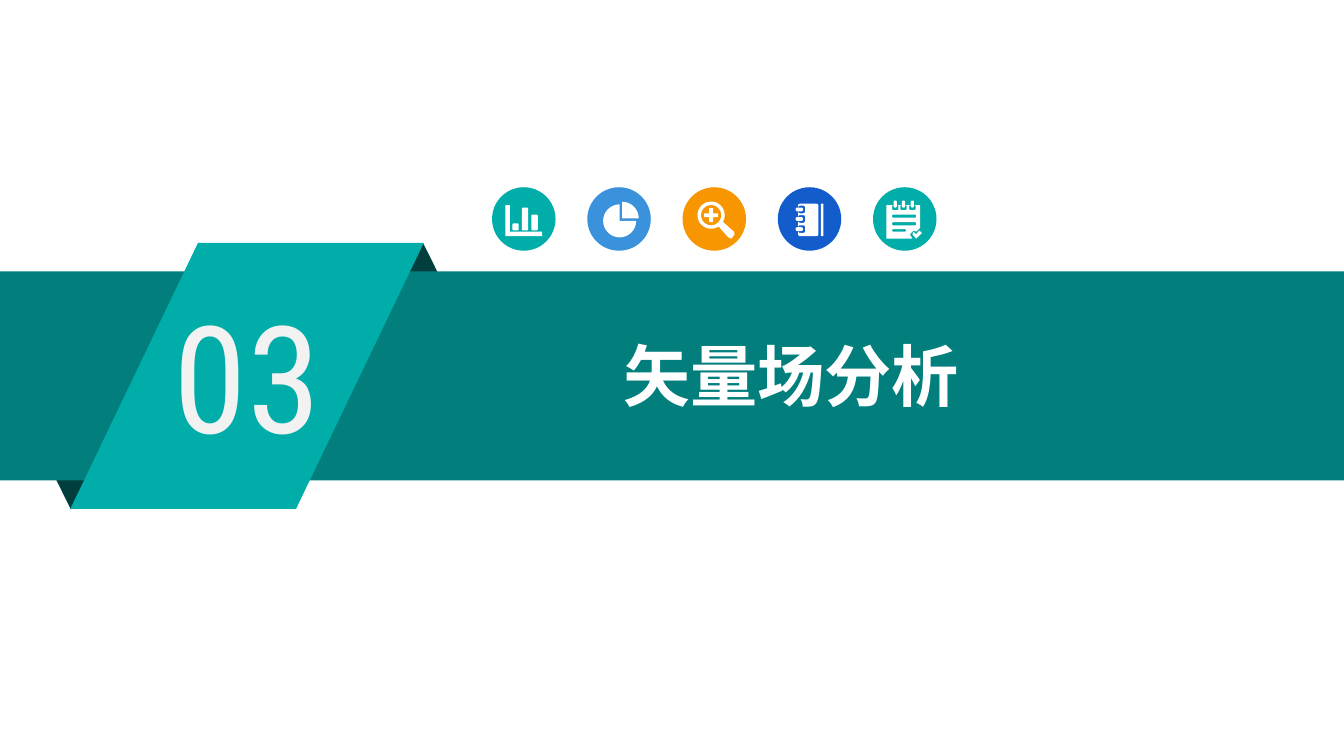
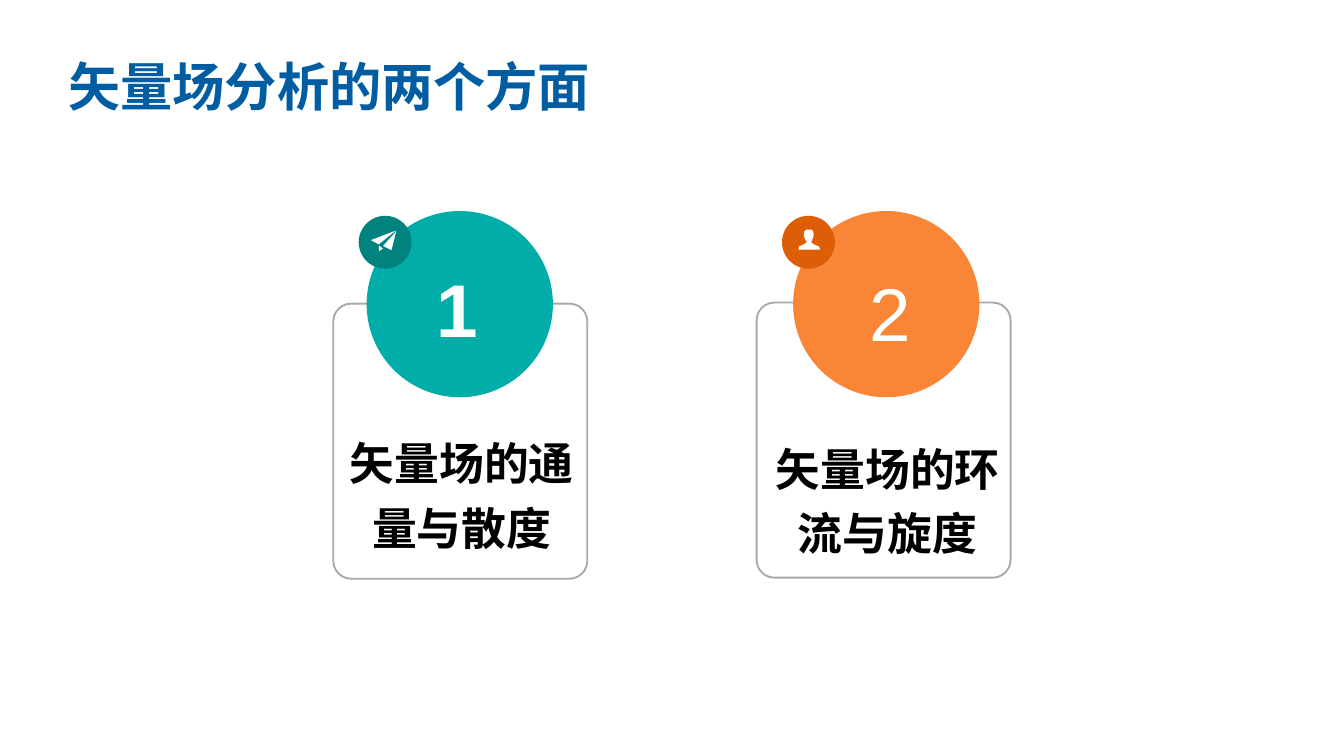
import math

import pptx
import pptx.dml.color
import pptx.enum.shapes
import pptx.enum.text
import pptx.oxml.ns
import pptx.util
from lxml import etree

Cm, Pt = pptx.util.Cm, pptx.util.Pt
SHAPE = pptx.enum.shapes.MSO_SHAPE
ALIGN = pptx.enum.text.PP_ALIGN
ANCHOR = pptx.enum.text.MSO_ANCHOR

# Shared style
WIDTH, HEIGHT = 25.4, 14.29
COLORS = {
    "white": "FFFFFF", "black": "000000", "number": "F2F2F2", "title": "005DA2",
    "fold": "013F3F", "band": "027F7D", "teal": "00ADA9", "teal_dark": "00827F",
    "sky": "3992DB", "amber": "F79600", "blue": "125CCB",
    "orange": "F98637", "orange_dark": "DD5E07", "border": "A6AAA9",
}
SANS, SANS_JP = "Noto Sans CJK SC", "Noto Sans CJK JP"

# Content
SECTION = {"number": "03", "title": "矢量场分析"}
SECTION_ICONS = [("bars", "teal"), ("pie", "sky"), ("magnifier", "amber"),
                 ("notebook", "blue"), ("checklist", "teal")]
ASPECTS_TITLE = "矢量场分析的两个方面"
# Boxes are (left, top, width, height) in cm, left measured from the card
ASPECTS = [
    {"number": "1", "bold": True, "caption": "矢量场的通量与散度",
     "color": "teal", "badge": "teal_dark", "icon": "plane",
     "card_top": 5.74, "disc_x": 0.63, "badge_x": 0.48,
     "number_box": (0.99, 4.95, 2.72, 1.4), "caption_box": (0.05, 8.08, 4.75, 2.36)},
    {"number": "2", "bold": False, "caption": "矢量场的环流与旋度",
     "color": "orange", "badge": "orange_dark", "icon": "person",
     "card_top": 5.72, "disc_x": 0.69, "badge_x": 0.48,
     "number_box": (1.4, 5.33, 2.24, 0.79), "caption_box": (0.15, 8.18, 4.65, 2.36)},
]


# Icon outlines, in hundredths of the disc that holds them
def arc(cx, cy, r, start, end, steps=24):
    angles = [math.radians(start + (end - start) * i / steps) for i in range(steps + 1)]
    return [(cx + r * math.cos(a), cy + r * math.sin(a)) for a in angles]


def sector(cx, cy, r, start, end):
    return [(cx, cy)] + arc(cx, cy, r, start, end)


def rounded(x0, y0, x1, y1, r=2):
    corners = [(x1 - r, y1 - r), (x0 + r, y1 - r), (x0 + r, y0 + r), (x1 - r, y0 + r)]
    return [point for i, (cx, cy) in enumerate(corners)
            for point in arc(cx, cy, r, 90 * i, 90 * i + 90, 6)]


def plus(cx, cy, reach, half):
    quarter = [(half, -reach), (half, -half), (reach, -half)]
    points = []
    for _ in range(4):
        points += [(cx + x, cy + y) for x, y in quarter]
        quarter = [(-y, x) for x, y in quarter]
    return points


ICONS = {
    "bars": [[(21, 28), (28, 28), (28, 70), (79, 70), (79, 77), (21, 77)]]
            + [rounded(x, top, x + 10, 68) for x, top in [(32, 57), (47, 32), (62, 43)]],
    "pie": [sector(55, 49, 26, -90, 0), sector(51, 53, 26, 0, 270)],
    "magnifier": [arc(45, 44, 21.5, 0, 360), arc(45, 44, 16, 0, 360), plus(45, 44, 11, 3),
                  [(57, 62), (61, 59), (64, 55), (81, 70), (82, 74), (77, 81), (72, 79)]],
    "notebook": [rounded(68, 26, 72, 77, 1), rounded(32, 26, 64, 77, 3)]
                + [outline for y in (35, 50, 66)
                   for outline in (rounded(32, y - 6, 43, y + 6, 3),
                                   rounded(28, y - 3, 40, y + 3, 3))],
    "checklist": [[(21, 28), (74, 28), (74, 64), (68, 70), (64, 68), (58, 74), (62, 81), (21, 81)],
                  [(64, 70), (68, 74), (73, 68), (77, 72), (68, 81), (62, 74)],
                  rounded(30, 43, 68, 48), rounded(30, 55, 68, 60), rounded(30, 66, 52, 70)]
                 + [outline for x in (35, 48, 62)
                    for outline in (rounded(x - 5, 28, x + 5, 36), rounded(x - 2.5, 21, x + 2.5, 32))],
    "plane": [[(23, 46), (70, 28), (38, 54)], [(71, 29), (62, 65), (46, 57)],
              [(38, 56), (46, 62), (38, 67)]],
    "person": [[(47, 50), (43, 43), (41, 36), (42, 30), (46, 26), (56, 26), (59, 30), (60, 36),
                (58, 43), (55, 50), (60, 54), (70, 58), (72, 64), (31, 64), (32, 58), (41, 54)]],
}


# Helpers
def rgb(name):
    return pptx.dml.color.RGBColor.from_string(COLORS[name])


def paint(shape, fill=None, line=None):
    shape.shadow.inherit = False
    if fill:
        shape.fill.solid()
        shape.fill.fore_color.rgb = rgb(fill)
    else:
        shape.fill.background()
    if line:
        shape.line.color.rgb = rgb(line)
        shape.line.width = Pt(1)
    else:
        shape.line.fill.background()


def add_shape(slide, preset, box, fill=None, line=None, adjust=None):
    shape = slide.shapes.add_shape(preset, *map(Cm, box))
    if adjust is not None:
        shape.adjustments[0] = adjust
    paint(shape, fill, line)
    return shape


def add_icon_disc(slide, left, top, size, color, icon):
    add_shape(slide, SHAPE.OVAL, (left, top, size, size), color)
    outlines = [[(Cm(left + size * x / 100), Cm(top + size * y / 100)) for x, y in outline]
                for outline in ICONS[icon]]
    builder = slide.shapes.build_freeform(*outlines[0][0])
    for i, (first, *rest) in enumerate(outlines):
        if i:
            builder.move_to(*first)
        builder.add_line_segments(rest)
    paint(builder.convert_to_shape(), "white")


def write(box, text, size, font, color, bold=False, align=ALIGN.LEFT,
          anchor=ANCHOR.TOP, spacing=1.0, inset=(0.18, 0.1)):
    frame = box.text_frame
    frame.text = text
    frame.word_wrap = True
    frame.auto_size = pptx.enum.text.MSO_AUTO_SIZE.NONE
    frame.vertical_anchor = anchor
    frame.margin_left = frame.margin_right = Cm(inset[0])
    frame.margin_top = frame.margin_bottom = Cm(inset[1])
    paragraph = frame.paragraphs[0]
    paragraph.alignment = align
    paragraph.line_spacing = spacing
    run = paragraph.runs[0]
    run.font.size, run.font.bold, run.font.name = Pt(size), bold, font
    run.font.color.rgb = rgb(color)
    east_asian = etree.SubElement(run.font._element, pptx.oxml.ns.qn("a:ea"))
    east_asian.set("typeface", font)


def add_text(slide, box, *args, **style):
    write(slide.shapes.add_textbox(*map(Cm, box)), *args, **style)


def place_title(slide, box, *args, **style):
    title = slide.shapes.title
    title.left, title.top, title.width, title.height = map(Cm, box)
    write(title, *args, **style)
    title.element.getparent().append(title.element)


def build_section(slide):
    # Ribbon over the band
    add_shape(slide, SHAPE.ISOSCELES_TRIANGLE, (6.86, 4.6, 2.28, 2.3), "fold")
    lower_fold = add_shape(slide, SHAPE.ISOSCELES_TRIANGLE, (0.2, 7.33, 2.28, 2.3), "fold")
    lower_fold.rotation = 180
    add_shape(slide, SHAPE.RECTANGLE, (0, 5.13, WIDTH, 3.95), "band")
    add_shape(slide, SHAPE.PARALLELOGRAM, (1.33, 4.59, 6.68, 5.03), "teal", adjust=0.48)
    add_text(slide, (3.1, 5.28, 3.68, 3.6), SECTION["number"], 80, "Roboto Condensed", "number")
    place_title(slide, (7.29, 6.22, 15.32, 1.73), SECTION["title"], 36, SANS, "white",
                bold=True, align=ALIGN.CENTER)
    # Icon row
    for i, (icon, color) in enumerate(SECTION_ICONS):
        add_icon_disc(slide, 9.3 + 1.8 * i, 3.54, 1.2, color, icon)


def build_aspects(slide):
    place_title(slide, (1.04, 0.94, 13.67, 1.37), ASPECTS_TITLE, 28, SANS, "title",
                bold=True, anchor=ANCHOR.MIDDLE, inset=(0.25, 0.13))
    for i, aspect in enumerate(ASPECTS):
        left = 6.3 + 8 * i
        add_shape(slide, SHAPE.ROUNDED_RECTANGLE, (left, aspect["card_top"], 4.8, 5.2),
                  line="border", adjust=0.07)
        add_shape(slide, SHAPE.OVAL, (left + aspect["disc_x"], 3.99, 3.52, 3.52), aspect["color"])
        add_icon_disc(slide, left + aspect["badge_x"], 4.08, 1, aspect["badge"], aspect["icon"])
        texts = [("number", 40, "Arial", "white", aspect["bold"]),
                 ("caption", 24, SANS_JP, "black", True)]
        for part, size, font, color, bold in texts:
            x, *rest = aspect[part + "_box"]
            add_text(slide, (left + x, *rest), aspect[part], size, font, color, bold=bold,
                     align=ALIGN.CENTER, anchor=ANCHOR.MIDDLE, spacing=1.2)


def main():
    deck = pptx.Presentation()
    deck.slide_width, deck.slide_height = Cm(WIDTH), Cm(HEIGHT)
    title_only = deck.slide_layouts[5]
    for build in (build_section, build_aspects):
        build(deck.slides.add_slide(title_only))
    deck.save("out.pptx")


if __name__ == "__main__":
    main()
